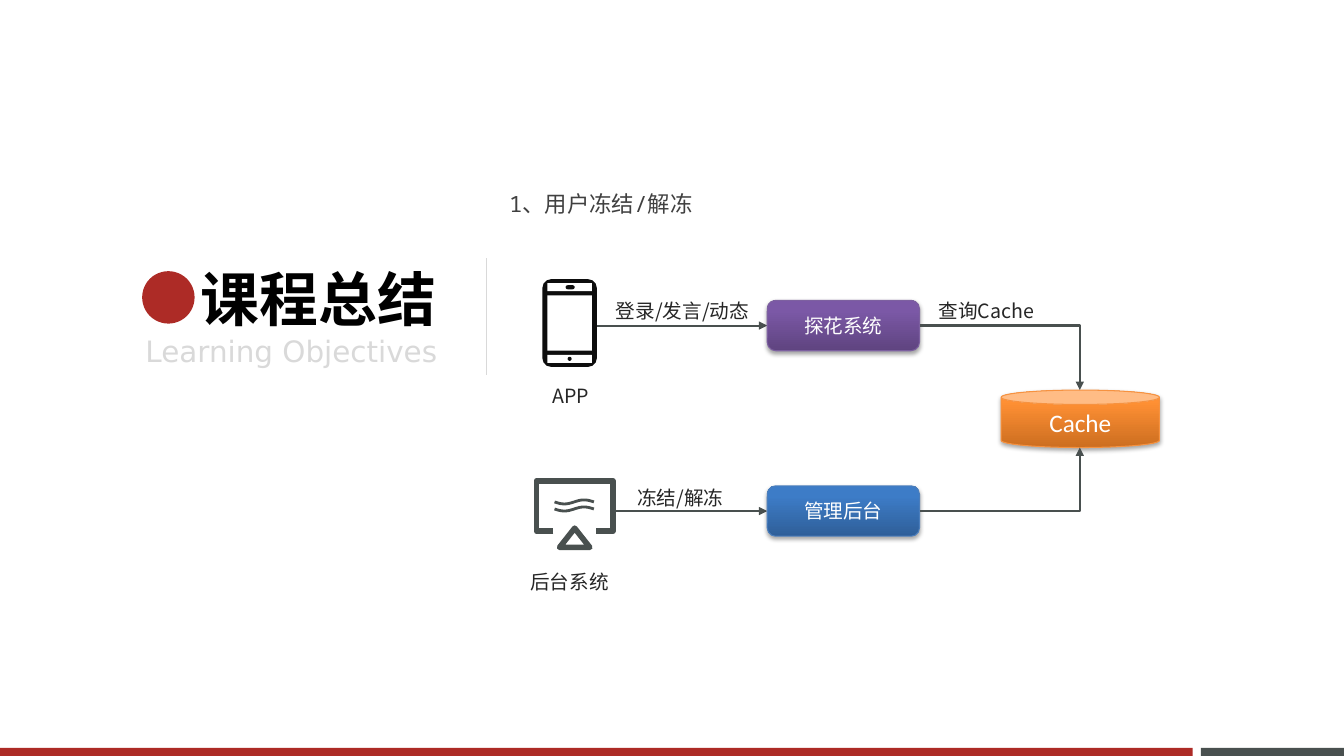
import math

import lxml.etree
import pptx
import pptx.dml.color
import pptx.enum.shapes
import pptx.enum.text
import pptx.oxml
import pptx.oxml.ns
import pptx.util

Inches = pptx.util.Inches
Pt = pptx.util.Pt
RGB = pptx.dml.color.RGBColor
SHAPE = pptx.enum.shapes.MSO_SHAPE
CONNECTOR = pptx.enum.shapes.MSO_CONNECTOR
ALIGN = pptx.enum.text.PP_ALIGN
ANCHOR = pptx.enum.text.MSO_ANCHOR
qn = pptx.oxml.ns.qn

RED = RGB(0xAD, 0x2B, 0x26)
SLATE = RGB(0x49, 0x50, 0x4F)
LIGHT_GREY = RGB(0xD9, 0xD9, 0xD9)
BODY_GREY = RGB(0x40, 0x40, 0x40)
LABEL_GREY = RGB(0x26, 0x26, 0x26)
PHONE_BLACK = RGB(0x0D, 0x0D, 0x0D)
BLACK = RGB(0, 0, 0)
WHITE = RGB(0xFF, 0xFF, 0xFF)
BLUE = (RGB(0x2F, 0x5F, 0x99), RGB(0x3D, 0x7C, 0xC7), RGB(0x4B, 0x7E, 0xBC))
PURPLE = (RGB(0x5F, 0x44, 0x80), RGB(0x7B, 0x58, 0xA6), RGB(0x7D, 0x60, 0xA0))
ORANGE = (RGB(0xCC, 0x6E, 0x20), RGB(0xFF, 0x90, 0x34), RGB(0xF6, 0x92, 0x40))
CJK_FONT = "Noto Sans CJK JP"


def add_text(frame, text, size, font, color, bold=False, align=ALIGN.LEFT, spacing=1.0):
    """Write one formatted run into the first paragraph of a text frame."""
    paragraph = frame.paragraphs[0]
    paragraph.alignment = align
    paragraph.line_spacing = spacing
    run = paragraph.add_run()
    run.text = text
    run.font.size = Pt(size)
    run.font.name = font
    run.font.bold = bold
    run.font.color.rgb = color
    east_asian = lxml.etree.SubElement(run.font._element, qn("a:ea"))
    east_asian.set("typeface", CJK_FONT)


def place(shape, left, top, width, height):
    """Move a placeholder to the given box."""
    shape.left, shape.top = Inches(left), Inches(top)
    shape.width, shape.height = Inches(width), Inches(height)


def add_solid(slide, kind, left, top, width, height, color):
    """Add a flat shape without outline."""
    shape = slide.shapes.add_shape(
        kind, Inches(left), Inches(top), Inches(width), Inches(height))
    shape.shadow.inherit = False
    shape.fill.solid()
    shape.fill.fore_color.rgb = color
    shape.line.fill.background()
    return shape


def add_label(slide, left, top, width, height, text):
    """Add a diagram label."""
    box = slide.shapes.add_textbox(
        Inches(left), Inches(top), Inches(width), Inches(height))
    box.text_frame.word_wrap = True
    add_text(box.text_frame, text, 14, CJK_FONT, LABEL_GREY, spacing=1.5)


def add_line(slide, start, end, color=SLATE, width=1.5, arrow=True, bent=False):
    """Add a straight or right-angled line, with an arrowhead if wanted."""
    kind = CONNECTOR.ELBOW if bent else CONNECTOR.STRAIGHT
    line = slide.shapes.add_connector(kind, *(Inches(value) for value in start + end))
    line.line.color.rgb = color
    line.line.width = Pt(width)
    properties = line._element.spPr
    if bent:
        properties.find(qn("a:prstGeom")).set("prst", "bentConnector2")
    if arrow:
        tail = lxml.etree.SubElement(properties.find(qn("a:ln")), qn("a:tailEnd"))
        tail.set("type", "triangle")
    lxml.etree.SubElement(properties, qn("a:effectLst"))


def add_node(slide, kind, left, top, width, height, text, size, colors):
    """Add a shaded system box with its name."""
    dark, light, outline = colors
    shape = add_solid(slide, kind, left, top, width, height, dark)
    shape.fill.gradient()
    shape.fill.gradient_angle = 90
    for stop, position, color in zip(shape.fill.gradient_stops, (0, 0.8), (dark, light)):
        stop.position = position
        stop.color.rgb = color
    shape.line.color.rgb = outline
    shape.line.width = Pt(0.75)
    effects = shape._element.spPr.find(qn("a:effectLst"))
    effects.append(pptx.oxml.parse_xml(
        '<a:outerShdw xmlns:a="http://schemas.openxmlformats.org/drawingml/2006/main" '
        'blurRad="40000" dist="23000" dir="5400000" rotWithShape="0">'
        '<a:srgbClr val="000000"><a:alpha val="35000"/></a:srgbClr></a:outerShdw>'))
    add_text(shape.text_frame, text, size, "Calibri", WHITE, align=ALIGN.CENTER)


def add_outline(slide, points, width, closed=False):
    """Draw a thick unfilled path through points given in inches."""
    corners = [(Inches(x), Inches(y)) for x, y in points]
    builder = slide.shapes.build_freeform(*corners[0])
    builder.add_line_segments(corners[1:], close=closed)
    shape = builder.convert_to_shape()
    shape.shadow.inherit = False
    shape.fill.background()
    shape.line.color.rgb = SLATE
    shape.line.width = Pt(width)


def add_phone(slide, left, top):
    """Draw the phone icon."""
    body = add_solid(slide, SHAPE.ROUNDED_RECTANGLE, left, top, 0.54, 0.87, PHONE_BLACK)
    body.adjustments[0] = 0.16
    for offset, height in ((0.04, 0.08), (0.16, 0.55), (0.75, 0.08)):
        add_solid(slide, SHAPE.RECTANGLE, left + 0.05, top + offset, 0.44, height, WHITE)
    speaker = add_solid(
        slide, SHAPE.ROUNDED_RECTANGLE, left + 0.23, top + 0.06, 0.09, 0.04, PHONE_BLACK)
    speaker.adjustments[0] = 0.5
    add_solid(slide, SHAPE.OVAL, left + 0.25, top + 0.77, 0.04, 0.04, PHONE_BLACK)


def add_monitor(slide, left, top):
    """Draw the monitor icon."""
    frame = ((0.2, 0.53), (0.03, 0.53), (0.03, 0.03), (0.79, 0.03), (0.79, 0.53), (0.62, 0.53))
    stand = ((0.41, 0.5), (0.56, 0.69), (0.26, 0.69))
    add_outline(slide, [(left + x, top + y) for x, y in frame], 4)
    add_outline(slide, [(left + x, top + y) for x, y in stand], 4, closed=True)
    for middle in (0.24, 0.31):
        wave = [(left + 0.21 + 0.39 * step / 24,
                 top + middle + 0.02 * math.sin(math.tau * step / 24))
                for step in range(25)]
        add_outline(slide, wave, 2)


def add_heading(slide, left, top):
    """Place the title, its dot, the subtitle and the divider."""
    add_solid(slide, SHAPE.OVAL, left + 0.64, top + 0.14, 0.52, 0.52, RED)
    title = slide.shapes.title
    place(title, left + 1.11, top, 2.56, 0.81)
    title.text_frame.word_wrap = False
    title.text_frame.vertical_anchor = ANCHOR.MIDDLE
    add_text(title.text_frame, "课程总结", 42, "Arial", BLACK, True, ALIGN.CENTER)
    subtitle = slide.shapes.add_textbox(
        Inches(left), Inches(top + 0.71), Inches(4.24), Inches(0.45))
    subtitle.text_frame.word_wrap = True
    add_text(subtitle.text_frame, "Learning Objectives", 21, "DejaVu Sans",
             LIGHT_GREY, align=ALIGN.CENTER)
    divider = left + 4.06
    add_line(slide, (divider, top + 0.01), (divider, top + 1.17), LIGHT_GREY, 0.75, False)


def add_summary(slide, left, top, width, height):
    """Place the summary point in the body placeholder."""
    body = slide.placeholders[1]
    place(body, left, top, width, height)
    frame = body.text_frame
    frame.auto_size = pptx.enum.text.MSO_AUTO_SIZE.NONE
    frame.vertical_anchor = ANCHOR.MIDDLE
    add_text(frame, "1、用户冻结/解冻", 16, "Noto Sans Mono", BODY_GREY, spacing=2.0)
    paragraph = frame.paragraphs[0]
    paragraph.space_before = Pt(3)
    properties = paragraph._element.get_or_add_pPr()
    properties.set("marL", "0")
    properties.set("indent", "0")
    lxml.etree.SubElement(properties, qn("a:buNone"))


def add_diagram(slide, left, top):
    """Draw the freeze flow from both clients to the cache."""
    app_row, admin_row = top + 0.46, top + 2.3
    node_left, node_right, cache_middle = left + 2.53, left + 4.04, left + 5.63
    add_phone(slide, left + 0.3, top)
    add_monitor(slide, left + 0.21, top + 1.97)
    for icon_right, row, name, colors in ((0.84, app_row, "探花系统", PURPLE),
                                          (1.02, admin_row, "管理后台", BLUE)):
        add_line(slide, (left + icon_right, row), (node_left, row))
        add_node(slide, SHAPE.ROUNDED_RECTANGLE, node_left, row - 0.25, 1.51, 0.5,
                 name, 14, colors)
    add_node(slide, SHAPE.CAN, cache_middle - 0.78, top + 1.1, 1.57, 0.57,
             "Cache", 18, ORANGE)
    add_line(slide, (node_right, app_row), (cache_middle, top + 1.1), bent=True)
    add_line(slide, (node_right, admin_row), (cache_middle, top + 1.67), bent=True)
    add_label(slide, left + 0.3, top + 0.87, 0.59, 0.38, "APP")
    add_label(slide, left + 0.08, top + 2.72, 1.07, 0.41, "后台系统")
    add_label(slide, left + 0.93, top + 0.03, 1.55, 0.66, "登录/发言/动态")
    add_label(slide, left + 4.13, top + 0.03, 1.41, 0.66, "查询Cache")
    add_label(slide, left + 1.14, top + 1.89, 1.41, 0.66, "冻结/解冻")


def add_footer(slide, top, height):
    """Add the two bars along the bottom edge."""
    for left, width, color in ((0, 11.83, RED), (11.91, 1.42, SLATE)):
        add_solid(slide, SHAPE.RECTANGLE, left, top, width, height, color)


def main():
    """Build and save the presentation."""
    presentation = pptx.Presentation()
    presentation.slide_width = Inches(13.33)
    presentation.slide_height = Inches(7.5)
    slide = presentation.slides.add_slide(presentation.slide_layouts[1])
    add_footer(slide, 7.42, 0.08)
    add_heading(slide, 0.77, 2.55)
    add_summary(slide, 4.95, 1.22, 6.89, 1.33)
    add_diagram(slide, 5.08, 2.77)
    presentation.save("out.pptx")


if __name__ == "__main__":
    main()
